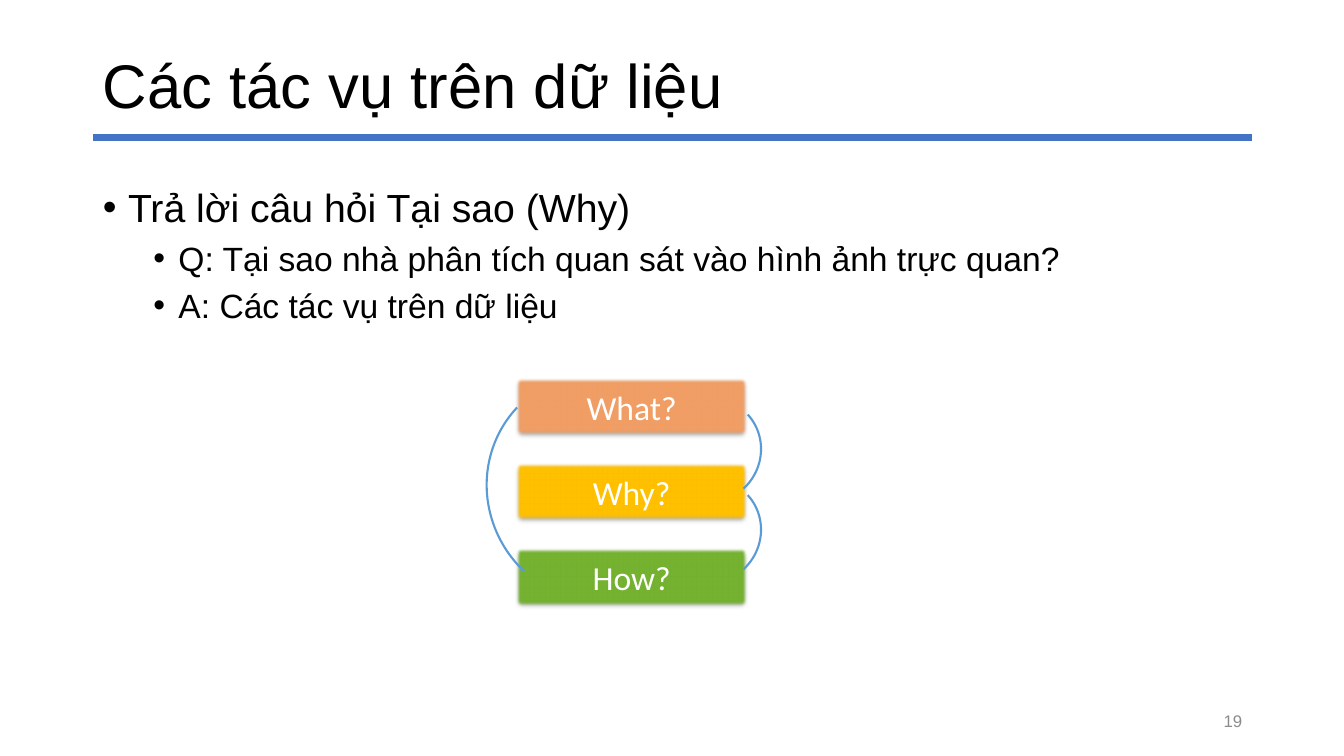
from dataclasses import dataclass

from lxml.etree import SubElement
from pptx import Presentation
from pptx.dml.color import RGBColor as Rgb
from pptx.enum.shapes import MSO_CONNECTOR as Link, MSO_SHAPE as Form
from pptx.enum.text import MSO_ANCHOR as Anchor, PP_ALIGN as Align
from pptx.oxml.ns import qn
from pptx.util import Inches, Pt


@dataclass(frozen=True)
class Theme:
    ink: str = "000000"
    gray: str = "8C8C8C"
    white: str = "FFFFFF"
    blue: str = "4472C4"
    sky: str = "5B9BD5"
    orange: str = "F19E65"
    gold: str = "FFC000"
    green: str = "74B230"
    face: str = "Arial"
    label: str = "Calibri"
    title: int = 44
    main: int = 28
    sub: int = 24
    small: int = 12


THEME = Theme()


def place(shape, box):
    shape.left, shape.top, shape.width, shape.height = map(Inches, box)


def style(para, size, color, face=THEME.face):
    for run in para.runs:
        run.font.size = Pt(size)
        run.font.name = face
        run.font.color.rgb = Rgb.from_string(color)


def stroke(shape, color, width):
    shape.line.color.rgb = Rgb.from_string(color)
    shape.line.width = Pt(width)


def bullet(para, left):
    props = para._p.get_or_add_pPr()
    props.set("marL", str(Inches(left)))
    props.set("indent", str(Inches(-0.25)))
    SubElement(props, qn("a:buFont"), typeface=THEME.face)
    SubElement(props, qn("a:buChar"), char="•")


def header(slide, box, text):
    left, top, width, height = box
    rule = slide.shapes.add_connector(
        Link.STRAIGHT, Inches(left), Inches(top + height),
        Inches(left + width), Inches(top + height))
    stroke(rule, THEME.blue, 5)
    SubElement(rule._element.spPr, qn("a:effectLst"))
    title = slide.shapes.title
    place(title, box)
    frame = title.text_frame
    frame.text = text
    frame.vertical_anchor = Anchor.MIDDLE
    para = frame.paragraphs[0]
    para.alignment = Align.LEFT
    para.line_spacing = 0.9
    style(para, THEME.title, THEME.ink)


def body(slide, box, items):
    holder = slide.placeholders[1]
    place(holder, box)
    frame = holder.text_frame
    frame.text = "\n".join(text for level, text in items)
    for para, (level, text) in zip(frame.paragraphs, items):
        para.level = level
        para.space_before = Pt(5 if level else 10)
        bullet(para, 0.25 + 0.5 * level)
        style(para, THEME.sub if level else THEME.main, THEME.ink)


def footer(slide, box, text):
    note = slide.shapes.add_textbox(*map(Inches, box))
    frame = note.text_frame
    frame.word_wrap = True
    frame.vertical_anchor = Anchor.MIDDLE
    frame.text = text
    frame.paragraphs[0].alignment = Align.RIGHT
    style(frame.paragraphs[0], THEME.small, THEME.gray)


def soften(shape):
    effects = SubElement(shape._element.spPr, qn("a:effectLst"))
    shadow = SubElement(effects, qn("a:outerShdw"), blurRad=str(Pt(3.1)),
                        dist=str(Pt(1.8)), dir="5400000", rotWithShape="0")
    color = SubElement(shadow, qn("a:srgbClr"), val=THEME.ink)
    SubElement(color, qn("a:alpha"), val="35000")
    SubElement(effects, qn("a:softEdge"), rad=str(Pt(2.5)))


def card(group, box, text, fill):
    shape = group.shapes.add_shape(Form.RECTANGLE, *map(Inches, box))
    shape.fill.solid()
    shape.fill.fore_color.rgb = Rgb.from_string(fill)
    stroke(shape, THEME.blue, 0.5)
    soften(shape)
    frame = shape.text_frame
    frame.text = text
    frame.vertical_anchor = Anchor.MIDDLE
    frame.paragraphs[0].alignment = Align.CENTER
    style(frame.paragraphs[0], THEME.sub, THEME.white, THEME.label)


def curve(group, box, turn):
    arc = group.shapes.add_shape(Form.ARC, *map(Inches, box))
    arc.adjustments[0] = 162
    arc.adjustments[1] = 215.82
    arc.rotation = turn
    arc.fill.background()
    arc.shadow.inherit = False
    stroke(arc, THEME.sky, 1.5)


def diagram(slide, box, cards):
    left, top, width, height = box
    group = slide.shapes.add_group_shape()
    tall = 0.59
    step = (height - tall) / (len(cards) - 1)
    for row, (text, fill) in enumerate(cards):
        card(group, (left, top + row * step, width, tall), text, fill)
    curve(group, (left - 0.3, top - 0.03, 2.34, 2.27), 223.6)
    for row in range(len(cards) - 1):
        curve(group, (left + 1.4, top + 0.2 + row * 0.8, 1.03, 1.06), 47.6)


def main():
    deck = Presentation()
    deck.slide_width, deck.slide_height = Inches(13.33), Inches(7.5)
    slide = deck.slides.add_slide(deck.slide_layouts[1])
    header(slide, (0.92, 0.4, 11.5, 0.96), "Các tác vụ trên dữ liệu")
    body(slide, (0.92, 1.77, 11.5, 4.98), [
        (0, "Trả lời câu hỏi Tại sao (Why)"),
        (1, "Q: Tại sao nhà phân tích quan sát vào hình ảnh trực quan?"),
        (1, "A: Các tác vụ trên dữ liệu"),
    ])
    footer(slide, (9.42, 6.95, 3, 0.4), "19")
    diagram(slide, (5.11, 3.74, 2.31, 2.28), [
        ("What?", THEME.orange),
        ("Why?", THEME.gold),
        ("How?", THEME.green),
    ])
    deck.save("out.pptx")


if __name__ == "__main__":
    main()
